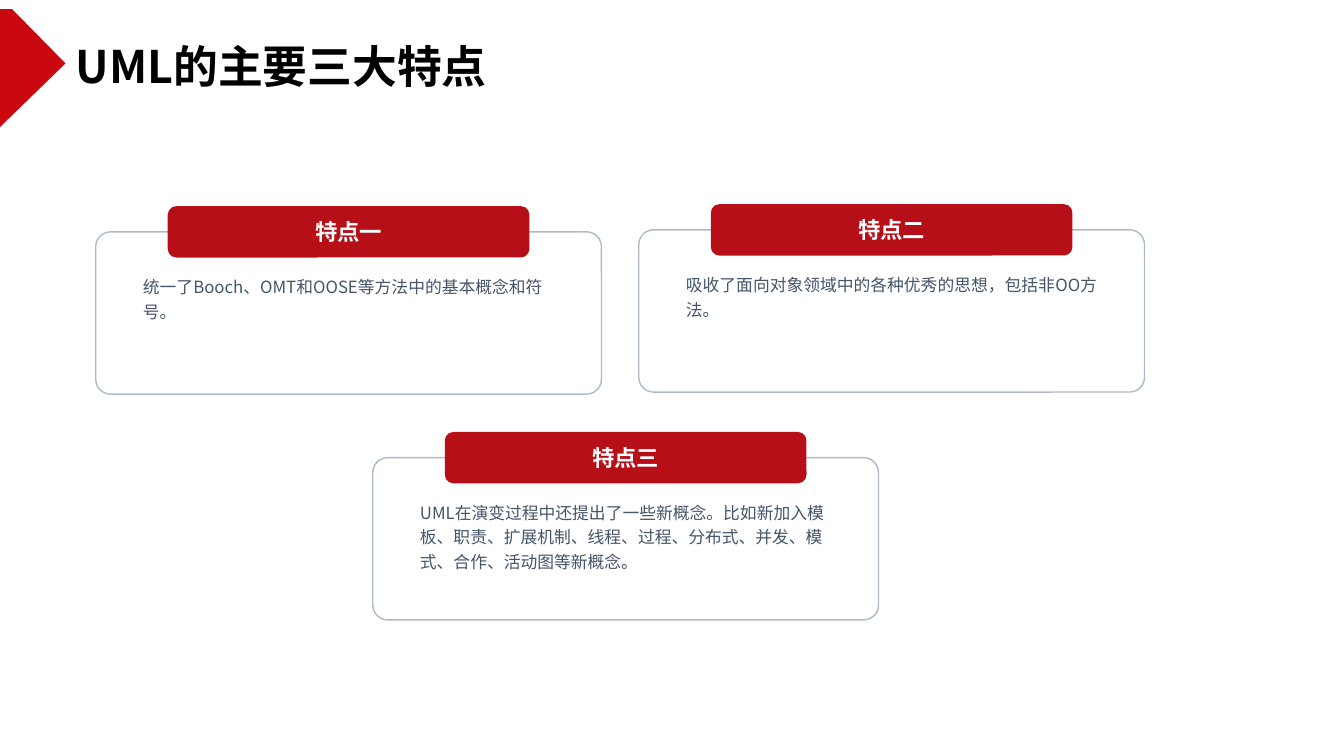
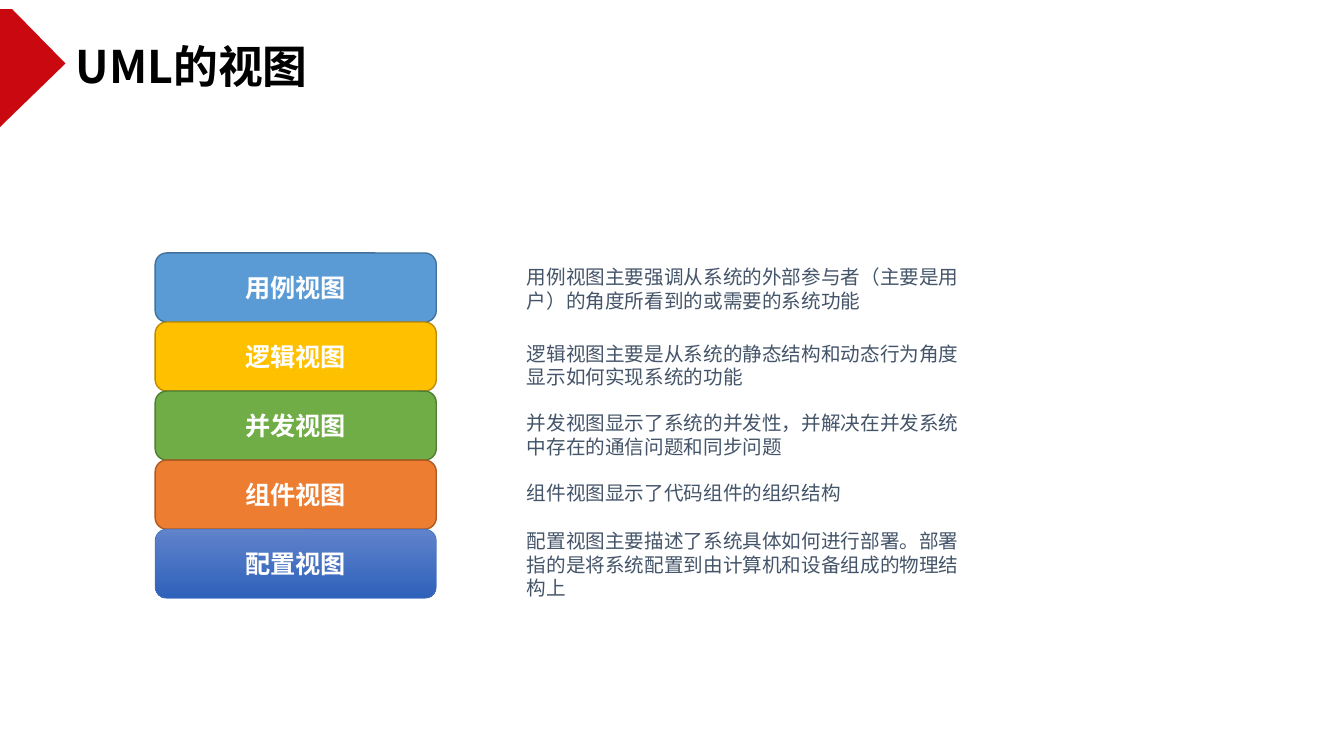
from pptx import Presentation
from pptx.dml.color import RGBColor
from pptx.enum.shapes import MSO_SHAPE
from pptx.enum.text import MSO_ANCHOR, PP_ALIGN
from pptx.oxml.ns import qn
from pptx.util import Inches, Pt
from lxml.etree import SubElement

SANS = "Noto Sans CJK SC"
BLACK, WHITE, SLATE = "000000", "FFFFFF", "445469"
FLAG_RED, TAB_RED, CARD_EDGE = "CA0810", "B70F17", "ADBACA"

FLAG_POINTS = [(0, 0.09), (0, 1.26), (0.65, 0.63), (0.12, 0.09)]
TITLE_BOX = (0.65, 0.33, 5.56, 0.64)

FEATURES_TITLE = "UML的主要三大特点"
FEATURES = [
    ("特点一", "统一了Booch、OMT和OOSE等方法中的基本概念和符号。", 0.95, 2.3),
    ("特点二", "吸收了面向对象领域中的各种优秀的思想，包括非OO方法。", 6.34, 2.28),
    ("特点三", "UML在演变过程中还提出了一些新概念。比如新加入模板、职责、扩展机制、"
     "线程、过程、分布式、并发、模式、合作、活动图等新概念。", 3.7, 4.54),
]
CARD_WIDTH, CARD_HEIGHT = 5.02, 1.61
TAB_WIDTH, TAB_HEIGHT = 3.59, 0.51

VIEWS_TITLE = "UML的视图"
VIEWS = [
    ("用例视图", "用例视图主要强调从系统的外部参与者（主要是用户）的角度所看到的或需要的系统功能",
     2.63, "5B9BD5", "41719C", 1),
    ("逻辑视图", "逻辑视图主要是从系统的静态结构和动态行为角度显示如何实现系统的功能",
     3.39, "FFC000", "BC8C00", 1),
    ("并发视图", "并发视图显示了系统的并发性，并解决在并发系统中存在的通信问题和同步问题",
     4.08, "70AD47", "507E32", 1),
    ("组件视图", "组件视图显示了代码组件的组织结构",
     4.77, "ED7D31", "AE5A21", 1),
    ("配置视图", "配置视图主要描述了系统具体如何进行部署。部署指的是将系统配置到由计算机和设备组成的物理结构上",
     5.25, ("6083CB", "2E61BA"), "4472C4", 0.5),
]
VIEW_LEFT, VIEW_TOP, VIEW_WIDTH, VIEW_HEIGHT = 1.54, 2.51, 2.79, 0.685


def rgb(value):
    return RGBColor.from_string(value)


def inches(*lengths):
    return [Inches(length) for length in lengths]


def write(shape, text, size, color, font=SANS, bold=False, align=PP_ALIGN.LEFT,
          anchor=MSO_ANCHOR.TOP, before=0, spacing=1.0, margins=(0.1, 0.05)):
    frame = shape.text_frame
    frame.word_wrap = True
    frame.vertical_anchor = anchor
    frame.margin_left = frame.margin_right = Inches(margins[0])
    frame.margin_top = frame.margin_bottom = Inches(margins[1])
    paragraph = frame.paragraphs[0]
    paragraph.alignment = align
    paragraph.space_before = Pt(before)
    paragraph.line_spacing = spacing
    run = paragraph.add_run()
    run.text = text
    run.font.size = Pt(size)
    run.font.bold = bold
    run.font.name = font
    run.font.color.rgb = rgb(color)
    SubElement(run.font._element, qn("a:ea"), typeface=SANS)


def paint(shape, fill=None, line=None, width=1):
    shape.shadow.inherit = False
    if fill is None:
        shape.fill.background()
    elif isinstance(fill, tuple):
        shape.fill.gradient()
        shape.fill.gradient_angle = 270
        for stop, color in zip(shape.fill.gradient_stops, fill):
            stop.color.rgb = rgb(color)
    else:
        shape.fill.solid()
        shape.fill.fore_color.rgb = rgb(fill)
    if line is None:
        shape.line.fill.background()
    else:
        shape.line.color.rgb = rgb(line)
        shape.line.width = Pt(width)


def add_rounded(slide, box, radius=0.167, **colours):
    shape = slide.shapes.add_shape(MSO_SHAPE.ROUNDED_RECTANGLE, *inches(*box))
    shape.adjustments[0] = radius
    paint(shape, **colours)
    return shape


def add_text(slide, box, text, **style):
    write(slide.shapes.add_textbox(*inches(*box)), text, **style)


def add_titled_slide(deck, heading):
    slide = deck.slides.add_slide(deck.slide_layouts[5])
    start, *corners = [inches(*point) for point in FLAG_POINTS]
    builder = slide.shapes.build_freeform(*start)
    builder.add_line_segments(corners, close=True)
    paint(builder.convert_to_shape(), fill=FLAG_RED)
    title = slide.shapes.title
    title.left, title.top, title.width, title.height = inches(*TITLE_BOX)
    write(title, heading, size=32, color=BLACK, bold=True)
    return slide


def add_feature(slide, label, description, left, top):
    add_text(slide, (left + 0.37, top + 0.36, 4.29, 0.82), description,
             size=12, color=SLATE, before=3, spacing=1.2)
    add_rounded(slide, (left, top, CARD_WIDTH, CARD_HEIGHT), radius=0.091, line=CARD_EDGE)
    tab_left = left + (CARD_WIDTH - TAB_WIDTH) / 2
    tab = add_rounded(slide, (tab_left, top - TAB_HEIGHT / 2, TAB_WIDTH, TAB_HEIGHT), fill=TAB_RED)
    write(tab, label, size=16, color=WHITE, font="Arial", bold=True,
          align=PP_ALIGN.CENTER, anchor=MSO_ANCHOR.MIDDLE)


def add_view(slide, row, label, description, text_top, fill, line, width):
    top = VIEW_TOP + row * VIEW_HEIGHT
    block = add_rounded(slide, (VIEW_LEFT, top, VIEW_WIDTH, VIEW_HEIGHT),
                        fill=fill, line=line, width=width)
    write(block, label, size=18, color=WHITE, font="Calibri", bold=True,
          align=PP_ALIGN.CENTER, anchor=MSO_ANCHOR.MIDDLE)
    add_text(slide, (5.23, text_top, 4.33, 0.47), description, size=14, color=SLATE,
             font="Arial", before=3.5, margins=(0, 0))


def main():
    deck = Presentation()
    deck.slide_width, deck.slide_height = inches(13.34, 7.5)
    features = add_titled_slide(deck, FEATURES_TITLE)
    for feature in FEATURES:
        add_feature(features, *feature)
    views = add_titled_slide(deck, VIEWS_TITLE)
    for row, view in enumerate(VIEWS):
        add_view(views, row, *view)
    deck.save("out.pptx")


if __name__ == "__main__":
    main()
